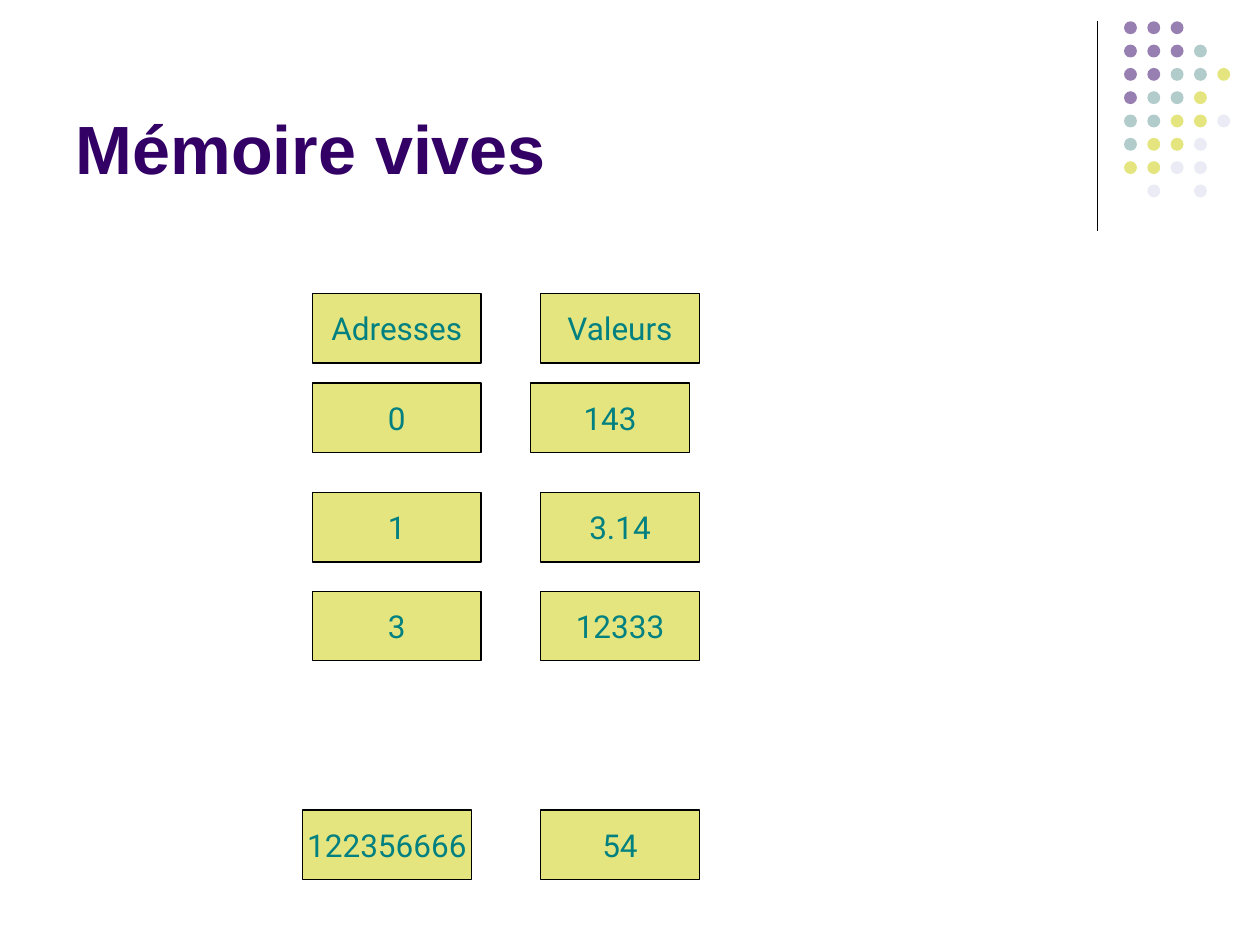
from dataclasses import dataclass

from lxml.etree import SubElement
from pptx import Presentation
from pptx.dml.color import RGBColor
from pptx.enum.shapes import MSO_CONNECTOR as Connector, MSO_SHAPE as Shape
from pptx.enum.text import MSO_ANCHOR as Anchor, MSO_AUTO_SIZE as AutoSize, PP_ALIGN as Align
from pptx.oxml.ns import qn
from pptx.util import Cm, Pt


@dataclass(frozen=True)
class Theme:
    purple: str = "330066"
    teal: str = "669999"
    yellow: str = "CCCC00"
    lavender: str = "D8D8EC"
    ink: str = "008080"
    black: str = "000000"
    opacity: int = 50
    title_font: str = "Arial"
    cell_font: str = "Roboto"
    title_size: int = 39
    cell_size: int = 18
    line_width: float = 0.75


class MemorySlide:
    def __init__(self, page, theme):
        self.page = page
        self.theme = theme

    def style_text(self, frame, font, size, color, align, anchor, bold=False):
        frame.vertical_anchor = anchor
        for para in frame.paragraphs:
            para.alignment = align
            for span in para.runs:
                span.font.name = font
                span.font.size = Pt(size)
                span.font.bold = bold
                span.font.color.rgb = RGBColor.from_string(color)

    def style_line(self, line):
        line.color.rgb = RGBColor.from_string(self.theme.black)
        line.width = Pt(self.theme.line_width)

    def fill_translucent(self, shape, color):
        shape.shadow.inherit = False
        shape.fill.solid()
        shape.fill.fore_color.rgb = RGBColor.from_string(color)
        tint = shape.fill._xPr.find(".//" + qn("a:srgbClr"))
        SubElement(tint, qn("a:alpha"), val=str(self.theme.opacity * 1000))

    def title(self, text, left, top, width, height):
        box = self.page.shapes.title
        box.left, box.top, box.width, box.height = map(Cm, (left, top, width, height))
        frame = box.text_frame
        frame.text = text
        frame.auto_size = AutoSize.NONE
        self.style_text(frame, self.theme.title_font, self.theme.title_size,
                        self.theme.purple, Align.LEFT, Anchor.BOTTOM, bold=True)

    def vertical_rule(self, x, top, bottom):
        rule = self.page.shapes.add_connector(
            Connector.STRAIGHT, Cm(x), Cm(top), Cm(x), Cm(bottom))
        self.style_line(rule.line)
        SubElement(rule.line._ln.getparent(), qn("a:effectLst"))

    def dot_grid(self, pattern, colors, left, top, step, size):
        group = self.page.shapes.add_group_shape()
        for row, marks in enumerate(pattern):
            for column, mark in enumerate(marks):
                if mark in colors:
                    dot = group.shapes.add_shape(
                        Shape.OVAL, Cm(left + column * step), Cm(top + row * step),
                        Cm(size), Cm(size))
                    self.fill_translucent(dot, colors[mark])
                    dot.line.fill.background()

    def cell(self, text, left, top, width, height):
        box = self.page.shapes.add_shape(
            Shape.RECTANGLE, Cm(left), Cm(top), Cm(width), Cm(height))
        self.fill_translucent(box, self.theme.yellow)
        self.style_line(box.line)
        frame = box.text_frame
        frame.text = text
        frame.word_wrap = False
        self.style_text(frame, self.theme.cell_font, self.theme.cell_size,
                        self.theme.ink, Align.CENTER, Anchor.MIDDLE)


def main():
    deck = Presentation()
    deck.slide_width, deck.slide_height = Cm(25.4), Cm(19.05)
    theme = Theme()
    slide = MemorySlide(deck.slides.add_slide(deck.slide_layouts[5]), theme)

    slide.vertical_rule(22.12, 0.43, 4.65)
    dot_colors = {"P": theme.purple, "T": theme.teal,
                  "Y": theme.yellow, "L": theme.lavender}
    dot_pattern = ("PPP", "PPPT", "PPTTY", "PTTY", "TTYYL", "TYYL", "YYLL", ".L.L")
    slide.dot_grid(dot_pattern, dot_colors, left=22.66, top=0.43, step=0.47, size=0.26)

    slide.title("Mémoire vives", 1.27, 0.33, 20.95, 3.6)

    address_left, address_width = 6.3, 3.4
    value_left, value_width = 10.9, 3.2
    cell_height, nudge = 1.4, 0.2
    memory_rows = (
        (5.92, "Adresses", 0, "Valeurs", 0),
        (7.72, "0", 0, "143", nudge),
        (9.93, "1", 0, "3.14", 0),
        (11.92, "3", 0, "12333", 0),
        (16.33, "122356666", nudge, "54", 0),
    )
    for top, address, address_shift, value, value_shift in memory_rows:
        slide.cell(address, address_left - address_shift, top, address_width, cell_height)
        slide.cell(value, value_left - value_shift, top, value_width, cell_height)

    deck.save("out.pptx")


if __name__ == "__main__":
    main()
